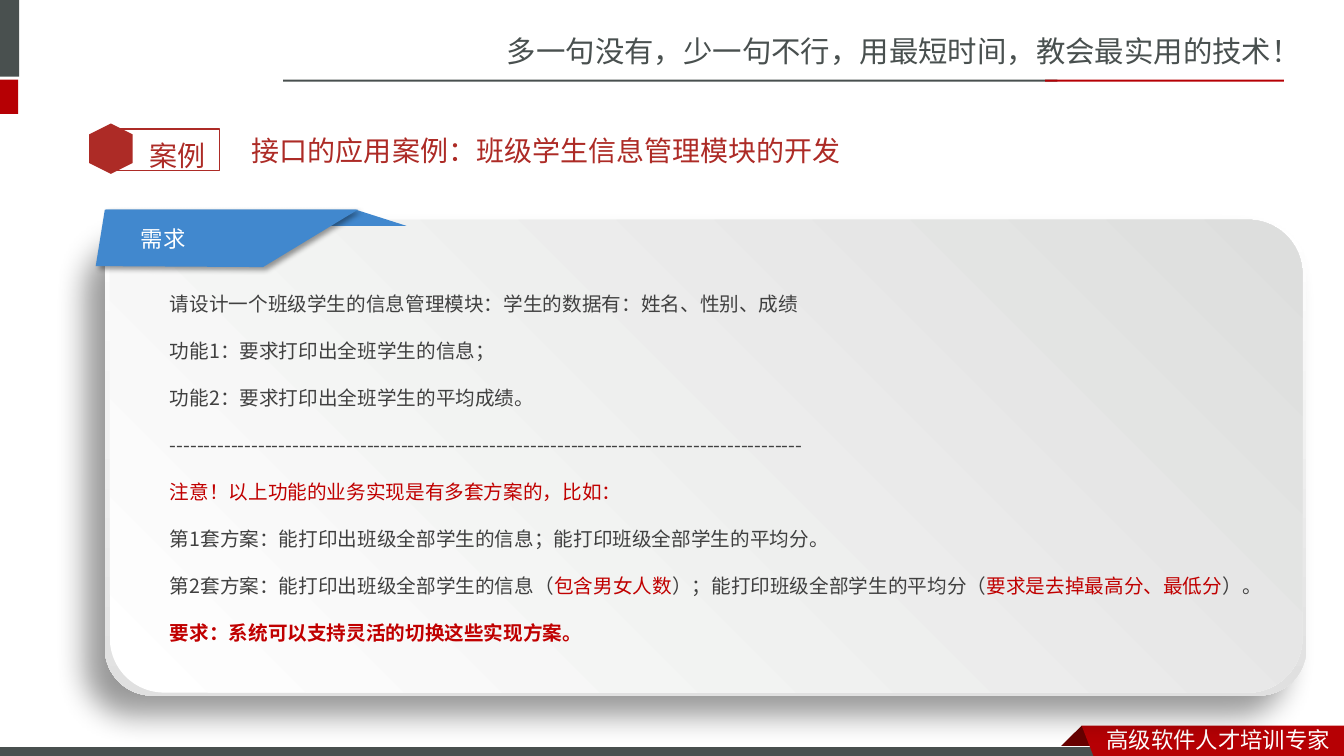
import pptx
import pptx.dml.color
import pptx.enum.shapes
import pptx.enum.text
import pptx.oxml.ns
import pptx.util
from lxml import etree

Pt = pptx.util.Pt
qn = pptx.oxml.ns.qn
SHAPE = pptx.enum.shapes.MSO_SHAPE
MIDDLE = pptx.enum.text.MSO_ANCHOR.MIDDLE

COLORS = {
    "slate": "49504F", "red": "B60004", "fold": "680000", "tag": "AD2B26",
    "blue": "4188CE", "white": "FFFFFF", "black": "000000",
    "body": "404040", "accent": "C00000", "rim": "E0E0E0", "panel": "DDDEDD",
}
CJK = "Noto Sans CJK SC"
BODY_FONT = "Noto Sans CJK JP"

REQUIREMENTS = [
    [("请设计一个班级学生的信息管理模块：学生的数据有：姓名、性别、成绩", "body")],
    [("功能1：要求打印出全班学生的信息；", "body")],
    [("功能2：要求打印出全班学生的平均成绩。", "body")],
    [("-" * 93, "body")],
    [("注意！以上功能的业务实现是有多套方案的，比如：", "accent")],
    [("第1套方案：能打印出班级全部学生的信息；能打印班级全部学生的平均分。", "body")],
    [("第2套方案：能打印出班级全部学生的信息（", "body"), ("包含男女人数", "accent"),
     ("）；能打印班级全部学生的平均分（", "body"), ("要求是去掉最高分、最低分", "accent"),
     ("）。", "body")],
    [("要求：系统可以支持灵活的切换这些实现方案。", "accent")],
]


def rgb(name):
    return pptx.dml.color.RGBColor.from_string(COLORS[name])


class SlideBuilder:
    def __init__(self, slide):
        self.slide = slide

    def paint(self, shape, fill=None, line=None, line_width=1):
        shape.shadow.inherit = False
        if fill:
            shape.fill.solid()
            shape.fill.fore_color.rgb = rgb(fill)
        else:
            shape.fill.background()
        if line:
            shape.line.color.rgb = rgb(line)
            shape.line.width = Pt(line_width)
        else:
            shape.line.fill.background()
        return shape

    def shape(self, kind, box, fill=None, line=None, line_width=1):
        shape = self.slide.shapes.add_shape(kind, *map(Pt, box))
        return self.paint(shape, fill, line, line_width)

    def polygon(self, points, fill):
        corners = [(Pt(x), Pt(y)) for x, y in points]
        builder = self.slide.shapes.build_freeform(*corners[0])
        builder.add_line_segments(corners[1:], close=True)
        return self.paint(builder.convert_to_shape(), fill)

    def panel(self, box, corner, end_color, angle):
        """Rounded box with a gradient from white to end_color."""
        shape = self.shape(SHAPE.ROUNDED_RECTANGLE, box)
        shape.adjustments[0] = corner
        shape.fill.gradient()
        shape.fill.gradient_angle = angle
        for stop, color, position in zip(shape.fill.gradient_stops, ("white", end_color), (0, 1)):
            stop.color.rgb = rgb(color)
            stop.position = position
        return shape

    def shadow(self, shape, blur, distance, direction):
        effects = shape._element.spPr.find(qn("a:effectLst"))
        outer = etree.SubElement(
            effects, qn("a:outerShdw"), blurRad=str(Pt(blur)), dist=str(Pt(distance)),
            dir=str(direction * 60000), algn="ctr", rotWithShape="0")
        color = etree.SubElement(outer, qn("a:srgbClr"), val=COLORS["black"])
        etree.SubElement(color, qn("a:alpha"), val="40000")

    def style_run(self, run, size, color, font, bold=False):
        run.font.size = Pt(size)
        run.font.bold = bold
        run.font.color.rgb = rgb(color)
        run.font.name = font
        etree.SubElement(run.font._element, qn("a:ea"), typeface=font)

    def text(self, box, text, size, color, font=CJK, spacing=1.0, anchor=None):
        frame = self.slide.shapes.add_textbox(*map(Pt, box)).text_frame
        frame.word_wrap = True
        frame.vertical_anchor = anchor
        frame.text = text
        paragraph = frame.paragraphs[0]
        paragraph.line_spacing = spacing
        self.style_run(paragraph.runs[0], size, color, font)

    def requirements(self, shape, lines):
        frame = shape.text_frame
        frame.word_wrap = True
        frame.vertical_anchor = MIDDLE
        frame.margin_left, frame.margin_right = Pt(31.5), Pt(4)
        frame.margin_top = frame.margin_bottom = Pt(2)
        for index, pieces in enumerate(lines):
            paragraph = frame.add_paragraph() if index else frame.paragraphs[0]
            paragraph.alignment = pptx.enum.text.PP_ALIGN.LEFT
            paragraph.line_spacing = 2.0
            for text, color in pieces:
                run = paragraph.add_run()
                run.text = text
                self.style_run(run, 14, color, BODY_FONT, bold=index == len(lines) - 1)


def main():
    presentation = pptx.Presentation()
    presentation.slide_width, presentation.slide_height = Pt(960), Pt(540)
    builder = SlideBuilder(presentation.slides.add_slide(presentation.slide_layouts[6]))

    # Header
    builder.text((355, 20.2, 605.5, 33.8), "多一句没有，少一句不行，用最短时间，教会最实用的技术！", 21, "slate")
    for box, color in [
        ((-4.3, 0, 18, 54.7), "slate"), ((-4.3, 56.9, 17.3, 24.5), "red"),
        ((202.3, 56.9, 553, 1.5), "slate"), ((746.6, 56.9, 170.6, 1.5), "red"),
    ]:
        builder.shape(SHAPE.RECTANGLE, box, color)

    # Footer
    builder.polygon([(772.6, 518.4), (788.4, 534.2), (787.7, 535), (757.4, 535), (756.7, 534.2)], "fold")
    builder.shape(SHAPE.RECTANGLE, (-0.7, 533.5, 792, 8.6), "slate", "white", 0.75)
    builder.polygon([(772.6, 518.4), (960, 518.4), (960, 542.9), (781.9, 542.2)], "red")
    builder.text((783.4, 514.8, 176.6, 26.6), "高级软件人才培训专家", 16, "white")

    # Case tag and heading
    builder.shape(SHAPE.RECTANGLE, (78.5, 92.2, 78.5, 29.5), line="tag")
    hexagon = builder.shape(SHAPE.HEXAGON, (61.2, 90.7, 36, 31), "tag")
    hexagon.rotation = 90
    builder.text((99.4, 83.5, 61.2, 40.3), "案例", 20, "tag", "Roboto", 1.5)
    builder.text((172.8, 87.1, 525.6, 41), "接口的应用案例：班级学生信息管理模块的开发", 20, "tag", "Arial", anchor=MIDDLE)

    # Requirements panel
    rim = builder.panel((74.9, 159.1, 858.2, 337.7), 0.1, "rim", 270)
    builder.shadow(rim, 22, 20, 135)
    panel = builder.panel((78.5, 157, 851.8, 337.7), 0.115, "panel", 45)
    builder.requirements(panel, REQUIREMENTS)

    # Panel tab
    builder.polygon([(75.6, 149.8), (254.2, 149.8), (290.2, 161.3), (75.6, 161.3)], "blue")
    tab = builder.polygon([(74.9, 149.8), (255.6, 149.8), (187.9, 190.8), (68.4, 190.1)], "blue")
    builder.shadow(tab, 4, 3, 45)
    builder.text((93.6, 157, 108.7, 26.6), "需求", 16, "white")

    presentation.save("out.pptx")


if __name__ == "__main__":
    main()
